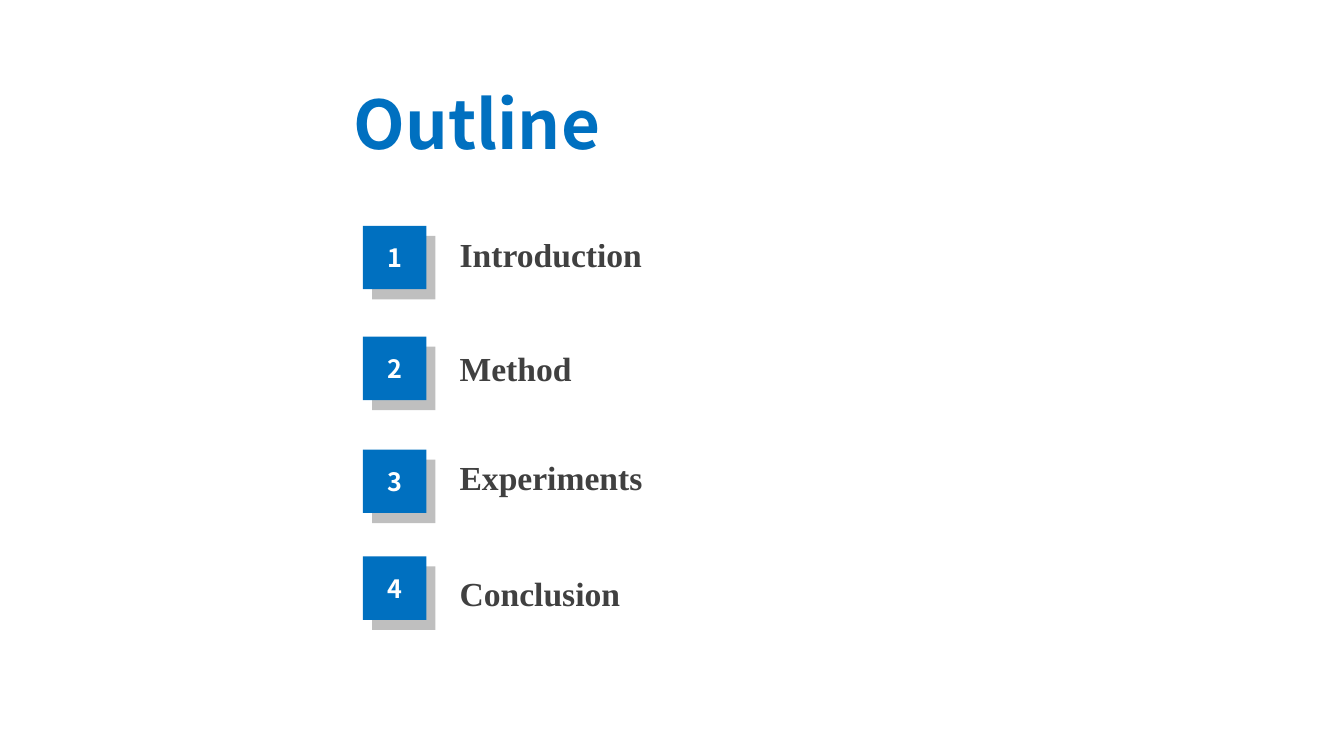
from lxml.etree import SubElement
from pptx import Presentation
from pptx.dml.color import RGBColor
from pptx.enum.shapes import MSO_SHAPE as Preset
from pptx.enum.text import MSO_ANCHOR as Anchor, MSO_AUTO_SIZE as AutoSize, PP_ALIGN as Align
from pptx.oxml.ns import qn
from pptx.util import Pt

EMU_PER_PX = 9144
COLORS = {"blue": "0070C0", "black": "000000", "white": "FFFFFF"}
SANS = "Noto Sans CJK SC"
SERIF = "Times New Roman"
BADGE_LEFT, BADGE_SIZE = 360, 63
SHADE_DX, SHADE_DY = 9, 10
LABEL_LEFT, LABEL_HEIGHT = 446, 50
SECTIONS = [
    ("Introduction", 224, 227, 361),
    ("Method", 334, 340, 703),
    ("Experiments", 446, 448, 819),
    ("Conclusion", 552, 563, 600),
]


def px(*lengths):
    """Turn pixel lengths into EMU."""
    return [length * EMU_PER_PX for length in lengths]


def set_opacity(element, percent):
    """Make every colour inside an XML element partly transparent."""
    if percent < 100:
        for color in element.iter(qn("a:srgbClr")):
            SubElement(color, qn("a:alpha"), val=str(percent * 1000))


def write(frame, text, font=SANS, size=18, color="white", opacity=100, align=None):
    """Write one bold line into a text frame."""
    line = frame.paragraphs[0]
    line.alignment = align
    run = line.add_run()
    run.text = text
    run.font.name = font
    run.font.size = Pt(size)
    run.font.bold = True
    run.font.color.rgb = RGBColor.from_string(COLORS[color])
    set_opacity(run._r, opacity)


def add_square(slide, left, top, color, opacity=100):
    """Add a flat, borderless square of badge size."""
    square = slide.shapes.add_shape(
        Preset.RECTANGLE, *px(left, top, BADGE_SIZE, BADGE_SIZE))
    square.shadow.inherit = False
    square.fill.solid()
    square.fill.fore_color.rgb = RGBColor.from_string(COLORS[color])
    square.line.fill.background()
    set_opacity(square._element.spPr, opacity)
    return square


def add_badge(slide, top, number):
    """Add a numbered blue square over its offset shade."""
    add_square(slide, BADGE_LEFT + SHADE_DX, top + SHADE_DY, "black", opacity=25)
    frame = add_square(slide, BADGE_LEFT, top, "blue").text_frame
    frame.vertical_anchor = Anchor.MIDDLE
    write(frame, str(number), align=Align.CENTER)


def add_text(slide, left, top, width, height, text, **style):
    """Add a wrapping text box that grows with its text."""
    frame = slide.shapes.add_textbox(*px(left, top, width, height)).text_frame
    frame.word_wrap = True
    frame.auto_size = AutoSize.SHAPE_TO_FIT_TEXT
    write(frame, text, **style)


def main():
    """Build the outline slide and save it."""
    deck = Presentation()
    deck.slide_width, deck.slide_height = px(1333, 750)
    slide = deck.slides.add_slide(deck.slide_layouts[6])
    add_text(slide, 320, 77, 306, 91, "Outline",
             size=48, color="blue", align=Align.CENTER)
    for number, (title, badge_top, label_top, width) in enumerate(SECTIONS, 1):
        add_badge(slide, badge_top, number)
        add_text(slide, LABEL_LEFT, label_top, width, LABEL_HEIGHT, title,
                 font=SERIF, size=24, color="black", opacity=75)
    deck.save("out.pptx")


if __name__ == "__main__":
    main()
